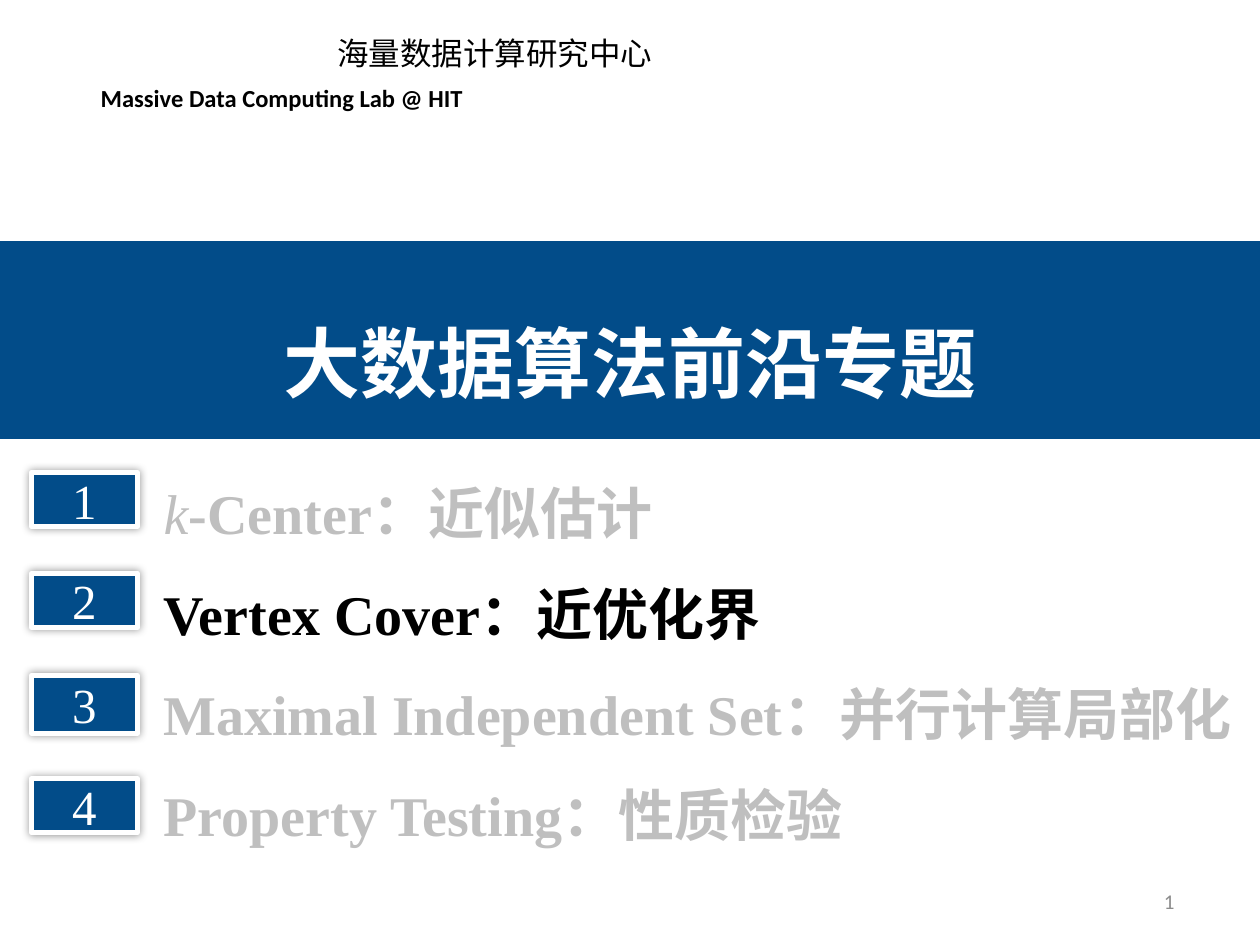
from typing import NamedTuple

from lxml.etree import SubElement
from pptx import Presentation
from pptx.dml.color import RGBColor
from pptx.enum.shapes import MSO_SHAPE as Shape
from pptx.enum.text import MSO_ANCHOR as Anchor, PP_ALIGN as Align
from pptx.oxml.ns import qn
from pptx.util import Inches, Pt

BLUE = RGBColor(0x02, 0x4C, 0x89)
WHITE = RGBColor(0xFF, 0xFF, 0xFF)
BLACK = RGBColor(0, 0, 0)
MUTED = RGBColor(0xBF, 0xBF, 0xBF)
PAGE_GRAY = RGBColor(0x8C, 0x8C, 0x8C)
SERIF, SANS, HAN = "Times New Roman", "Calibri", "Noto Sans CJK SC"
HAN_HEADER = "Noto Sans CJK JP"


class Style(NamedTuple):
    size: float
    font: str
    color: RGBColor
    bold: bool = False
    italic: bool = False
    han: str = HAN


class Box(NamedTuple):
    left: float
    top: float
    width: float
    height: float

    def lengths(self) -> list:
        return [Inches(value) for value in self]


class Topic(NamedTuple):
    badge_top: float
    badge_height: float
    variable: str
    title: str
    color: RGBColor = MUTED


TOPICS = [
    Topic(3.75, 0.43, "k", "-Center：近似估计"),
    Topic(4.55, 0.43, "", "Vertex Cover：近优化界", BLACK),
    Topic(5.36, 0.46, "", "Maximal Independent Set：并行计算局部化"),
    Topic(6.18, 0.43, "", "Property Testing：性质检验"),
]


def style_run(run, style: Style) -> None:
    font = run.font
    font.size, font.name = Pt(style.size), style.font
    font.bold, font.italic = style.bold, style.italic
    font.color.rgb = style.color
    latin = font._element.find(qn("a:latin"))
    east_asian = latin.makeelement(qn("a:ea"), {"typeface": style.han})
    latin.addnext(east_asian)


def add_label(slide, box: Box, text: str, style: Style, align=Align.LEFT,
              anchor=Anchor.TOP, spacing: float = 1.0) -> None:
    frame = slide.shapes.add_textbox(*box.lengths()).text_frame
    frame.word_wrap = True
    frame.vertical_anchor = anchor
    line = frame.paragraphs[0]
    line.text = text
    line.alignment, line.line_spacing = align, spacing
    style_run(line.runs[0], style)


def add_block(slide, box: Box, border: RGBColor, border_width: float):
    block = slide.shapes.add_shape(Shape.RECTANGLE, *box.lengths())
    block.shadow.inherit = False
    block.fill.solid()
    block.fill.fore_color.rgb = BLUE
    block.line.color.rgb = border
    block.line.width = Pt(border_width)
    return block


def add_badge(slide, number: int, topic: Topic) -> None:
    box = Box(0.25, topic.badge_top, 0.84, topic.badge_height)
    badge = add_block(slide, box, WHITE, 3)
    # Soft glow-like shadow around the badge
    effects = badge._element.spPr.find(qn("a:effectLst"))
    shadow = SubElement(effects, qn("a:outerShdw"), blurRad=str(Pt(5)), dist="0",
                        dir="0", rotWithShape="0")
    tint = SubElement(shadow, qn("a:srgbClr"), val="000000")
    SubElement(tint, qn("a:alpha"), val="40000")

    frame = badge.text_frame
    frame.vertical_anchor = Anchor.MIDDLE
    frame.text = str(number)
    frame.paragraphs[0].alignment = Align.CENTER
    style_run(frame.paragraphs[0].runs[0], Style(28, SERIF, WHITE))


def add_topic_list(slide, box: Box) -> None:
    frame = slide.shapes.add_textbox(*box.lengths()).text_frame
    frame.word_wrap = True
    for index, topic in enumerate(TOPICS):
        line = frame.add_paragraph() if index else frame.paragraphs[0]
        line.line_spacing = 1.5
        if topic.variable:
            variable = line.add_run()
            variable.text = topic.variable
            style_run(variable, Style(32, SERIF, topic.color, italic=True))
        title = line.add_run()
        title.text = topic.title
        style_run(title, Style(32, SERIF, topic.color, bold=True))


def main() -> None:
    deck = Presentation()
    deck.slide_width, deck.slide_height = Inches(10), Inches(7.5)
    slide = deck.slides.add_slide(deck.slide_layouts[6])

    # Lab header
    add_label(slide, Box(2.58, 0.22, 2.99, 0.4), "海量数据计算研究中心",
              Style(18, HAN_HEADER, BLACK, han=HAN_HEADER))
    add_label(slide, Box(0.7, 0.61, 3.95, 0.34), "Massive Data Computing Lab @ HIT",
              Style(14, SANS, BLACK, bold=True))

    # Title band
    add_block(slide, Box(0, 1.92, 10, 1.56), BLUE, 1)
    add_label(slide, Box(0, 2.16, 10, 0.98), "大数据算法前沿专题",
              Style(44, HAN, WHITE, bold=True), Align.CENTER, spacing=1.4)

    # Numbered topics
    add_topic_list(slide, Box(1.2, 3.48, 8.8, 3.23))
    for number, topic in enumerate(TOPICS, start=1):
        add_badge(slide, number, topic)

    # Page number
    add_label(slide, Box(7.17, 6.95, 2.25, 0.4), "1", Style(12, SANS, PAGE_GRAY),
              Align.RIGHT, Anchor.MIDDLE)

    deck.save("out.pptx")


if __name__ == "__main__":
    main()
